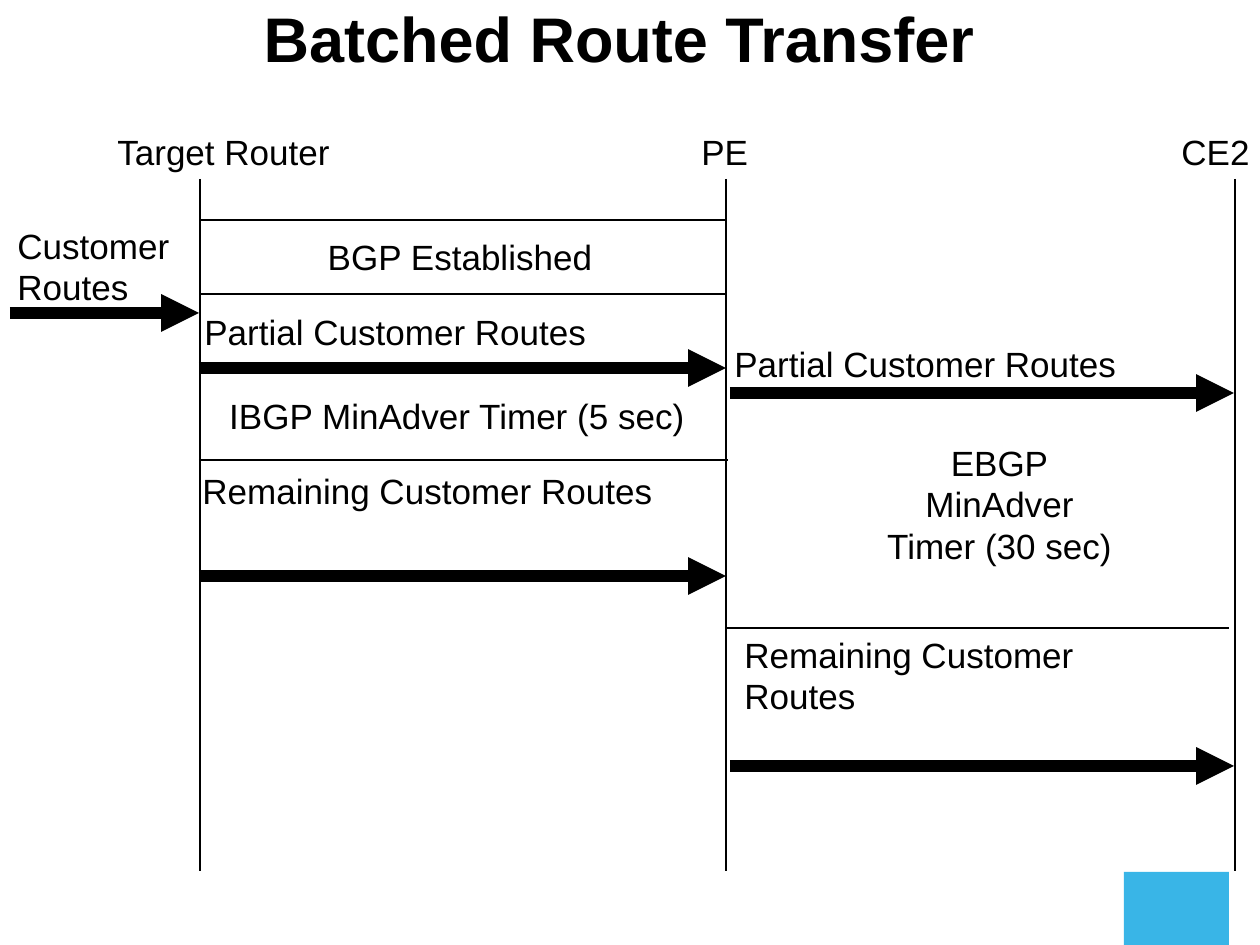
import pptx
import pptx.util
from lxml import etree
from pptx.dml.color import RGBColor
from pptx.enum.shapes import MSO_CONNECTOR, MSO_SHAPE
from pptx.enum.text import MSO_ANCHOR, PP_ALIGN
from pptx.oxml.ns import qn

PX = 914400 // 126
TARGET_X, PE_X, CE2_X = 200, 726, 1235
LIFELINE_TOP, LIFELINE_BOTTOM = 179, 871

# text lines, left, top, width, height
LABELS = [
    (["Target Router"], 105, 126, 443, 94),
    (["PE"], 689, 126, 103, 94),
    (["CE2"], 1169, 126, 144, 94),
    (["Customer", "Routes"], 5, 220, 302, 94),
    (["Partial Customer Routes"], 192, 306, 524, 94),
    (["Partial Customer Routes"], 722, 338, 539, 94),
    (["Remaining Customer Routes"], 190, 465, 546, 251),
    (["Remaining Customer", "Routes"], 732, 629, 529, 94),
]
STATES = [
    (["BGP Established"], 198, 222, 524, 72),
    (["IBGP MinAdver Timer (5 sec)"], 191, 375, 532, 85),
    (["EBGP", "MinAdver", "Timer (30 sec)"], 737, 402, 525, 207),
]
# start x, end x, y
DIVIDERS = [(200, 727, 220), (200, 727, 294), (199, 728, 460), (725, 1229, 628)]
MESSAGES = [
    (10, 199, 313),
    (199, 726, 368),
    (730, 1234, 393),
    (199, 726, 576),
    (730, 1234, 766),
]


def px(n):
    return pptx.util.Emu(n * PX)


def color(hex_code):
    return RGBColor.from_string(hex_code)


def add_text(s, lines, left, top, width, height, size=20, bold=False,
             centered=False, spacing=0.98):
    """Centered text is also anchored to the middle of its box."""
    sp = s.shapes.add_textbox(px(left), px(top), px(width), px(height))
    tf = sp.text_frame
    tf.word_wrap = True
    tf.vertical_anchor = MSO_ANCHOR.MIDDLE if centered else MSO_ANCHOR.TOP
    tf.text = "\n".join(lines)
    for p in tf.paragraphs:
        p.alignment = PP_ALIGN.CENTER if centered else PP_ALIGN.LEFT
        p.line_spacing = spacing
        p.font.name = "Arial"
        p.font.size = pptx.util.Pt(size)
        p.font.bold = bold
        p.font.color.rgb = color("000000")


def add_line(s, x1, y1, x2, y2, weight=0.75, arrow=False):
    sp = s.shapes.add_connector(
        MSO_CONNECTOR.STRAIGHT, px(x1), px(y1), px(x2), px(y2))
    sp.line.color.rgb = color("000000")
    sp.line.width = pptx.util.Pt(weight)
    if arrow:
        etree.SubElement(sp.line._get_or_add_ln(), qn("a:tailEnd"), type="triangle")
    etree.SubElement(sp._element.spPr, qn("a:effectLst"))


def add_block(s, left, top, width, height, fill):
    sp = s.shapes.add_shape(
        MSO_SHAPE.RECTANGLE, px(left), px(top), px(width), px(height))
    sp.shadow.inherit = False
    sp.fill.solid()
    sp.fill.fore_color.rgb = color(fill)
    sp.line.fill.background()


def main():
    prs = pptx.Presentation()
    prs.slide_width, prs.slide_height = px(1260), px(945)
    s = prs.slides.add_slide(prs.slide_layouts[6])

    add_block(s, 1124, 872, 105, 73, "39B5E7")
    add_text(s, ["Batched Route Transfer"], 21, 0, 1196, 88,
             size=36, bold=True, centered=True, spacing=0.8)
    for x in (TARGET_X, PE_X, CE2_X):
        add_line(s, x, LIFELINE_TOP, x, LIFELINE_BOTTOM)
    for x1, x2, y in DIVIDERS:
        add_line(s, x1, y, x2, y)
    for x1, x2, y in MESSAGES:
        add_line(s, x1, y, x2, y, weight=7.2, arrow=True)
    for lines, *box in LABELS:
        add_text(s, lines, *box)
    for lines, *box in STATES:
        add_text(s, lines, *box, centered=True)

    prs.save("out.pptx")


if __name__ == "__main__":
    main()
